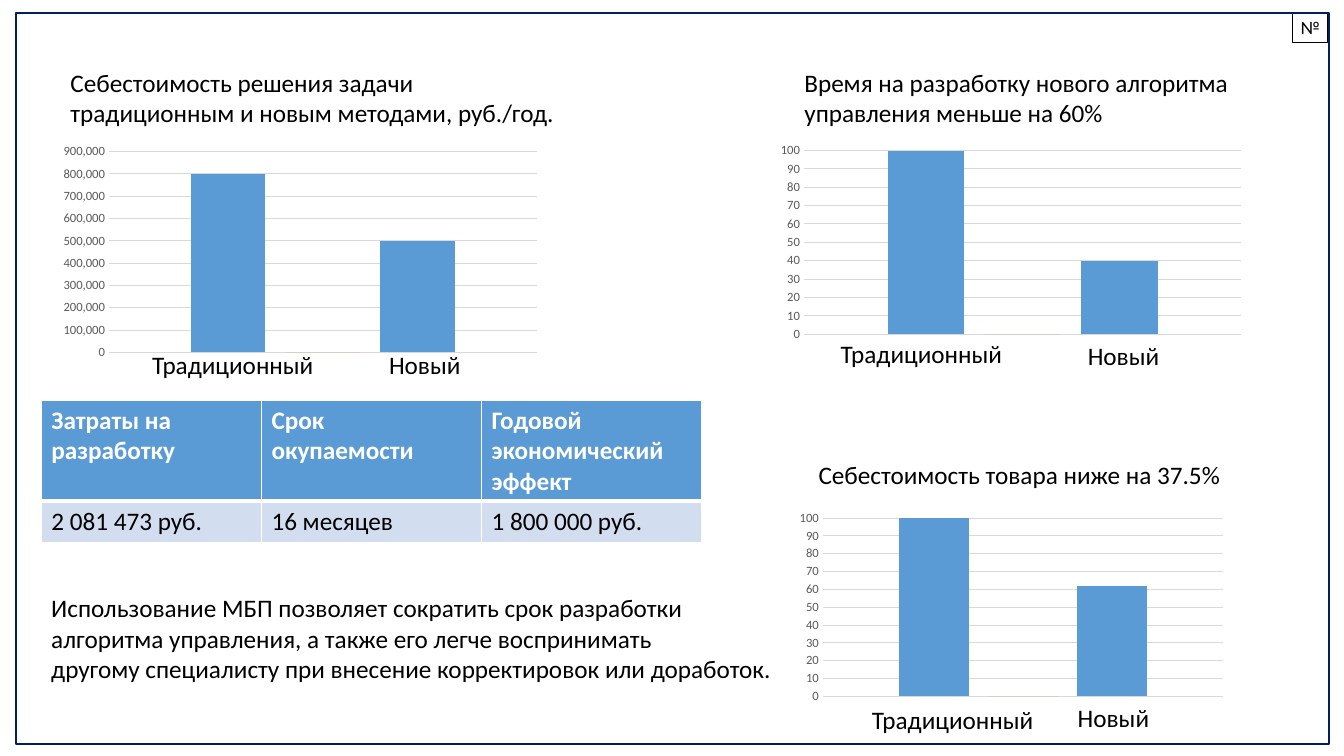
from lxml import etree
from pptx import Presentation
from pptx.chart.data import CategoryChartData
from pptx.dml.color import RGBColor
from pptx.enum.chart import XL_CHART_TYPE, XL_TICK_MARK
from pptx.enum.shapes import MSO_SHAPE
from pptx.enum.text import MSO_ANCHOR, MSO_AUTO_SIZE, PP_ALIGN
from pptx.oxml import parse_xml
from pptx.oxml.ns import nsdecls, qn
from pptx.util import Inches, Pt

COLUMN = XL_CHART_TYPE.COLUMN_CLUSTERED
NO_TICK = XL_TICK_MARK.NONE
RECT = MSO_SHAPE.RECTANGLE
MIDDLE = MSO_ANCHOR.MIDDLE
GROW = MSO_AUTO_SIZE.SHAPE_TO_FIT_TEXT
LEFT, CENTER = PP_ALIGN.LEFT, PP_ALIGN.CENTER

FONT = "Calibri"
BLACK = RGBColor(0x00, 0x00, 0x00)
WHITE = RGBColor(0xFF, 0xFF, 0xFF)
NAVY = RGBColor(0x00, 0x20, 0x60)
BLUE = RGBColor(0x5B, 0x9B, 0xD5)
ORANGE = RGBColor(0xED, 0x7D, 0x31)
PALE = RGBColor(0xD2, 0xDE, 0xEF)
GRAY = RGBColor(0x59, 0x59, 0x59)
GRID = RGBColor(0xD9, 0xD9, 0xD9)


def style(font, size, color=BLACK, bold=False):
    font.name = FONT
    font.size = Pt(size)
    font.bold = bold
    font.color.rgb = color


def write(frame, text, size=18, color=BLACK, bold=False, align=LEFT):
    """Fill a text frame, one paragraph per line of text."""
    frame.text = text
    for para in frame.paragraphs:
        para.alignment = align
        for run in para.runs:
            style(run.font, size, color, bold)


def add_text(slide, text, left, top, width, height=0.4, wrap=False):
    box = slide.shapes.add_textbox(
        Inches(left), Inches(top), Inches(width), Inches(height))
    frame = box.text_frame
    frame.word_wrap = wrap
    frame.auto_size = GROW
    write(frame, text)


def add_frame(slide, left, top, width, height, color, line):
    shape = slide.shapes.add_shape(
        RECT, Inches(left), Inches(top), Inches(width), Inches(height))
    shape.shadow.inherit = False
    shape.fill.background()
    shape.line.color.rgb = color
    shape.line.width = Pt(line)
    return shape


def set_plot(chart, left):
    """Fix the inner plot area as shares of the chart."""
    area = chart.element.find(".//" + qn("c:plotArea")) if hasattr(
        chart, "element") else chart._chartSpace.find(".//" + qn("c:plotArea"))
    for old in area.findall(qn("c:layout")):
        area.remove(old)
    layout = etree.Element(qn("c:layout"))
    manual = etree.SubElement(layout, qn("c:manualLayout"))
    for tag, value in (("layoutTarget", "inner"), ("xMode", "edge"),
                       ("yMode", "edge"), ("x", left), ("y", 0.051),
                       ("w", 0.847), ("h", 0.898)):
        etree.SubElement(manual, qn("c:" + tag)).set("val", str(value))
    area.insert(0, layout)


def add_bars(slide, old, new, left, top, width, height,
             plot=0.126, limit=None, fmt="General"):
    data = CategoryChartData()
    data.categories = ["1"]
    for number, value in enumerate((old, 0, new), 1):
        data.add_series(f"Series {number}", [value])
    chart = slide.shapes.add_chart(
        COLUMN, Inches(left), Inches(top), Inches(width), Inches(height),
        data).chart
    chart.has_legend = False
    chart.has_title = False
    style(chart.font, 10)

    bars = chart.plots[0]
    bars.gap_width = 219
    bars.overlap = -27
    bars.vary_by_categories = False
    for series, color in zip(bars.series, (BLUE, ORANGE, BLUE)):
        series.format.fill.solid()
        series.format.fill.fore_color.rgb = color

    chart.category_axis.visible = False
    axis = chart.value_axis
    axis.major_tick_mark = axis.minor_tick_mark = NO_TICK
    axis.minimum_scale = 0
    if limit:
        axis.maximum_scale = limit
    axis.format.line.fill.background()
    axis.major_gridlines.format.line.color.rgb = GRID
    axis.major_gridlines.format.line.width = Pt(0.75)
    axis.tick_labels.number_format = fmt
    axis.tick_labels.number_format_is_linked = False
    style(axis.tick_labels.font, 9, GRAY)
    set_plot(chart, plot)


def set_edges(cell, widths):
    for side, width in widths.items():
        cell._tc.get_or_add_tcPr().append(parse_xml(
            f'<a:ln{side} {nsdecls("a")} w="{Pt(width)}"><a:solidFill>'
            f'<a:srgbClr val="{WHITE}"/></a:solidFill></a:ln{side}>'))


def add_table(slide, rows, left, top, width, heights):
    table = slide.shapes.add_table(
        len(rows), len(rows[0]), Inches(left), Inches(top),
        Inches(width), Inches(sum(heights))).table
    for r, texts in enumerate(rows):
        head = r == 0
        table.rows[r].height = Inches(heights[r])
        for c, text in enumerate(texts):
            cell = table.cell(r, c)
            set_edges(cell, {"L": 1, "R": 1, "T": 1 if head else 3,
                             "B": 3 if head else 1})
            cell.fill.solid()
            cell.fill.fore_color.rgb = BLUE if head else PALE
            write(cell.text_frame, text, color=WHITE if head else BLACK,
                  bold=head)


def main():
    deck = Presentation()
    deck.slide_width, deck.slide_height = Inches(13.33), Inches(7.5)
    slide = deck.slides.add_slide(deck.slide_layouts[6])

    # Page border and number box
    badge = add_frame(slide, 12.82, 0.12, 0.35, 0.3, BLACK, 0.75)
    badge.text_frame.word_wrap = False
    badge.text_frame.vertical_anchor = MIDDLE
    write(badge.text_frame, "№", size=13.5, align=CENTER)
    add_frame(slide, 0.16, 0.13, 13.02, 7.25, NAVY, 1)

    # Charts
    add_bars(slide, 800000, 500000, 0.45, 1.39, 5.01, 2.22, fmt="#,##0")
    add_bars(slide, 100, 40, 7.36, 1.39, 5.12, 2.03, plot=0.12, limit=100)
    add_bars(slide, 100, 62, 7.57, 5.04, 4.69, 1.97, limit=100)

    # Chart headings
    add_text(slide, "Себестоимость решения задачи\n"
             "традиционным и новым методами, руб./год.",
             0.6, 0.62, 5.05, 0.71)
    add_text(slide, "Время на разработку нового алгоритма\n"
             "управления меньше на 60%", 7.88, 0.62, 4.51, 0.71)
    add_text(slide, "Себестоимость товара ниже на 37.5%", 8.02, 4.51, 4.23)

    # Bar captions
    for text, left, top in (
            ("Традиционный", 1.41, 3.42), ("Новый", 3.76, 3.42),
            ("Традиционный", 8.24, 3.31), ("Новый", 10.69, 3.33),
            ("Традиционный", 8.55, 6.94), ("Новый", 10.59, 6.92)):
        add_text(slide, text, left, top, 1.89, wrap=True)

    # Costs table and conclusion
    add_table(slide, [
        ("Затраты на разработку", "Срок окупаемости",
         "Годовой экономический эффект"),
        ("2 081 473 руб.", "16 месяцев", "1 800 000 руб."),
    ], 0.41, 3.97, 6.55, (1, 0.41))
    add_text(slide, "Использование МБП позволяет сократить срок разработки\n"
             "алгоритма управления, а также его легче воспринимать\n"
             "другому специалисту при внесение корректировок или доработок.",
             0.41, 5.83, 7.45, 1.01)

    deck.save("out.pptx")


if __name__ == "__main__":
    main()
